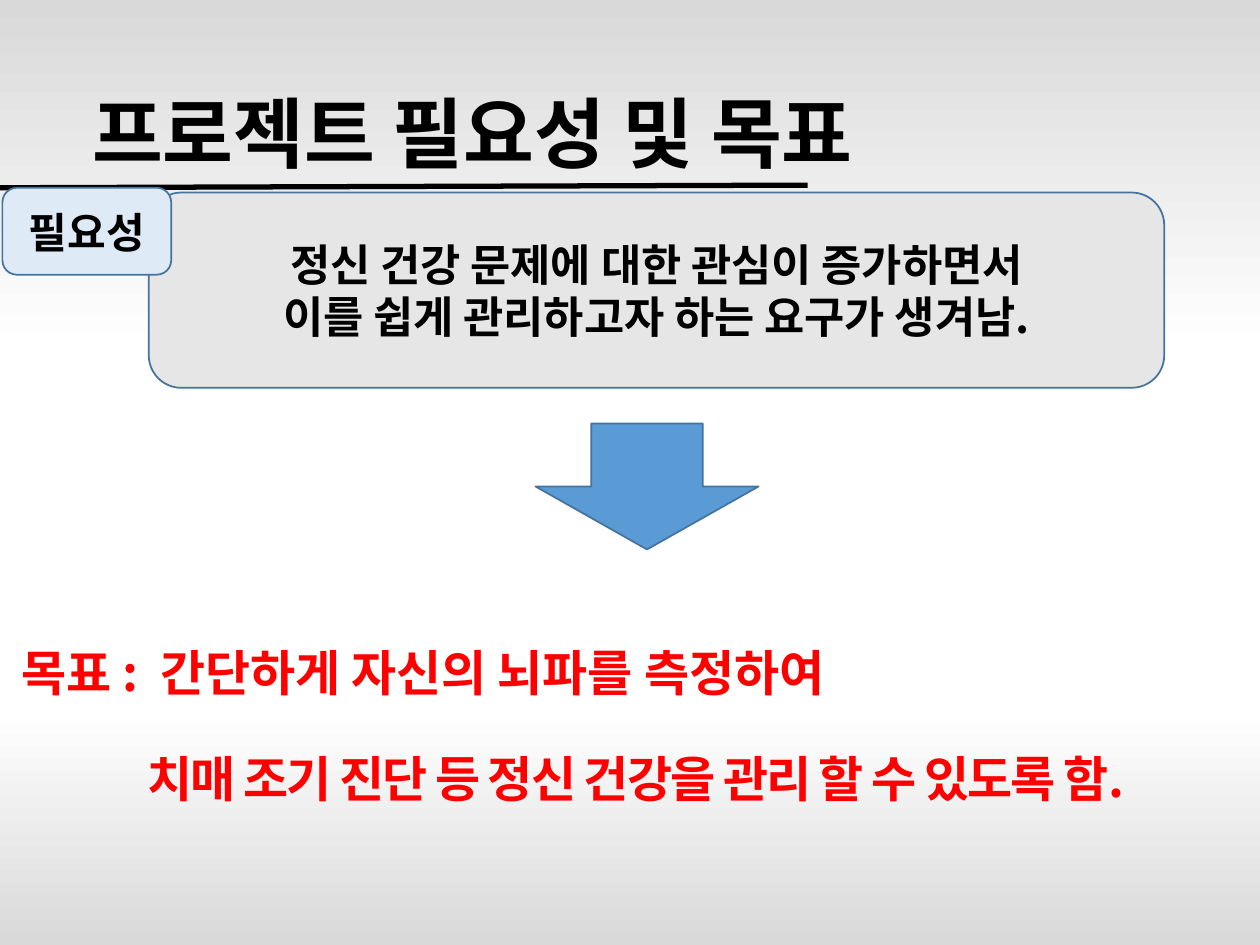
from lxml import etree
from pptx import Presentation
from pptx.dml.color import RGBColor
from pptx.enum.shapes import MSO_CONNECTOR, MSO_SHAPE
from pptx.enum.text import MSO_ANCHOR, MSO_AUTO_SIZE, PP_ALIGN
from pptx.oxml.ns import qn
from pptx.util import Pt

ROUNDED = MSO_SHAPE.ROUNDED_RECTANGLE
DOWN_ARROW = MSO_SHAPE.DOWN_ARROW
STRAIGHT = MSO_CONNECTOR.STRAIGHT
MIDDLE, TOP = MSO_ANCHOR.MIDDLE, MSO_ANCHOR.TOP
CENTER, LEFT = PP_ALIGN.CENTER, PP_ALIGN.LEFT
NO_AUTOFIT = MSO_AUTO_SIZE.NONE
KOREAN, LATIN = "Noto Sans CJK KR", "Calibri"
BLACK, RED, OUTLINE = "000000", "FF0000", "43739E"


def color(value):
    return RGBColor.from_string(value)


class SlideBuilder:
    """Holds the style and the current slide and adds each kind of element."""

    def __init__(self, slide):
        self.slide = slide

    def background(self, stops):
        fill = self.slide.background.fill
        fill.gradient()
        fill.gradient_angle = 270
        stop_list = self.slide.background._cSld.find(".//" + qn("a:gsLst"))
        for old_stop in list(stop_list):
            stop_list.remove(old_stop)
        for percent, value in stops:
            stop = etree.SubElement(stop_list, qn("a:gs"), pos=str(percent * 1000))
            etree.SubElement(stop, qn("a:srgbClr"), val=value)

    def set_text(self, shape, lines, size, value=BLACK, font=KOREAN, align=CENTER, anchor=MIDDLE):
        frame = shape.text_frame
        frame.text = "\n".join(lines)
        frame.word_wrap = True
        frame.auto_size = NO_AUTOFIT
        frame.vertical_anchor = anchor
        for paragraph in frame.paragraphs:
            paragraph.alignment = align
            for run in paragraph.runs:
                run.font.size = Pt(size)
                run.font.bold = True
                run.font.name = font
                run.font.color.rgb = color(value)
                latin = run.font._element.find(qn("a:latin"))
                latin.addnext(latin.makeelement(qn("a:ea"), typeface=KOREAN))
        return frame.paragraphs

    def placeholder(self, index, box, lines, size, **style):
        holder = self.slide.placeholders[index]
        holder.left, holder.top, holder.width, holder.height = map(Pt, box)
        return self.set_text(holder, lines, size, align=LEFT, **style)

    def title(self, box, line, size):
        self.placeholder(0, box, [line], size)[0].line_spacing = 0.9

    def body(self, box, lines, size, indents):
        paragraphs = self.placeholder(1, box, lines, size, value=RED, anchor=TOP)
        for paragraph, indent in zip(paragraphs, indents):
            paragraph.line_spacing = 1.5
            paragraph.space_before = Pt(10)
            properties = paragraph._p.get_or_add_pPr()
            properties.set("marL", str(Pt(indent)))
            properties.set("indent", "0")
            etree.SubElement(properties, qn("a:buNone"))
        return paragraphs

    def shape(self, kind, box, fill):
        shape = self.slide.shapes.add_shape(kind, *map(Pt, box))
        shape.shadow.inherit = False
        shape.fill.solid()
        shape.fill.fore_color.rgb = color(fill)
        shape.line.color.rgb = color(OUTLINE)
        shape.line.width = Pt(1)
        return shape

    def line(self, ends, width):
        rule = self.slide.shapes.add_connector(STRAIGHT, *map(Pt, ends))
        rule.line.color.rgb = color(BLACK)
        rule.line.width = Pt(width)
        etree.SubElement(rule._element.spPr, qn("a:effectLst"))


def main():
    deck = Presentation()
    deck.slide_width, deck.slide_height = Pt(720), Pt(540)
    page = SlideBuilder(deck.slides.add_slide(deck.slide_layouts[1]))

    page.background([(0, "D9D9D9"), (37, "FFFFFF"), (75, "FFFFFF"), (100, "D9D9D9")])
    page.title((45.4, 26.6, 620.6, 104.4), "프로젝트 필요성 및 목표", 44)
    goal = page.body(
        (5, 347, 710, 113.8),
        ["목표 :  간단하게 자신의 뇌파를 측정하여", "치매 조기 진단 등 정신 건강을 관리 할 수 있도록 함."],
        28,
        (0, 72),
    )
    goal[1].runs[0].font._element.set("spc", "-100")

    page.line((0, 107.3, 461.5, 105.8), 3)
    need = page.shape(ROUNDED, (85, 110, 580.3, 111.6), "E7E6E6")
    page.set_text(need, ["정신 건강 문제에 대한 관심이 증가하면서", "이를 쉽게 관리하고자 하는 요구가 생겨남."], 25)
    need_label = page.shape(ROUNDED, (1.4, 107.3, 96.5, 49.7), "DEEBF7")
    page.set_text(need_label, ["필요성"], 24, font=LATIN)
    page.shape(DOWN_ARROW, (306, 242, 127.5, 72), "5B9BD5")

    deck.save("out.pptx")


if __name__ == "__main__":
    main()
